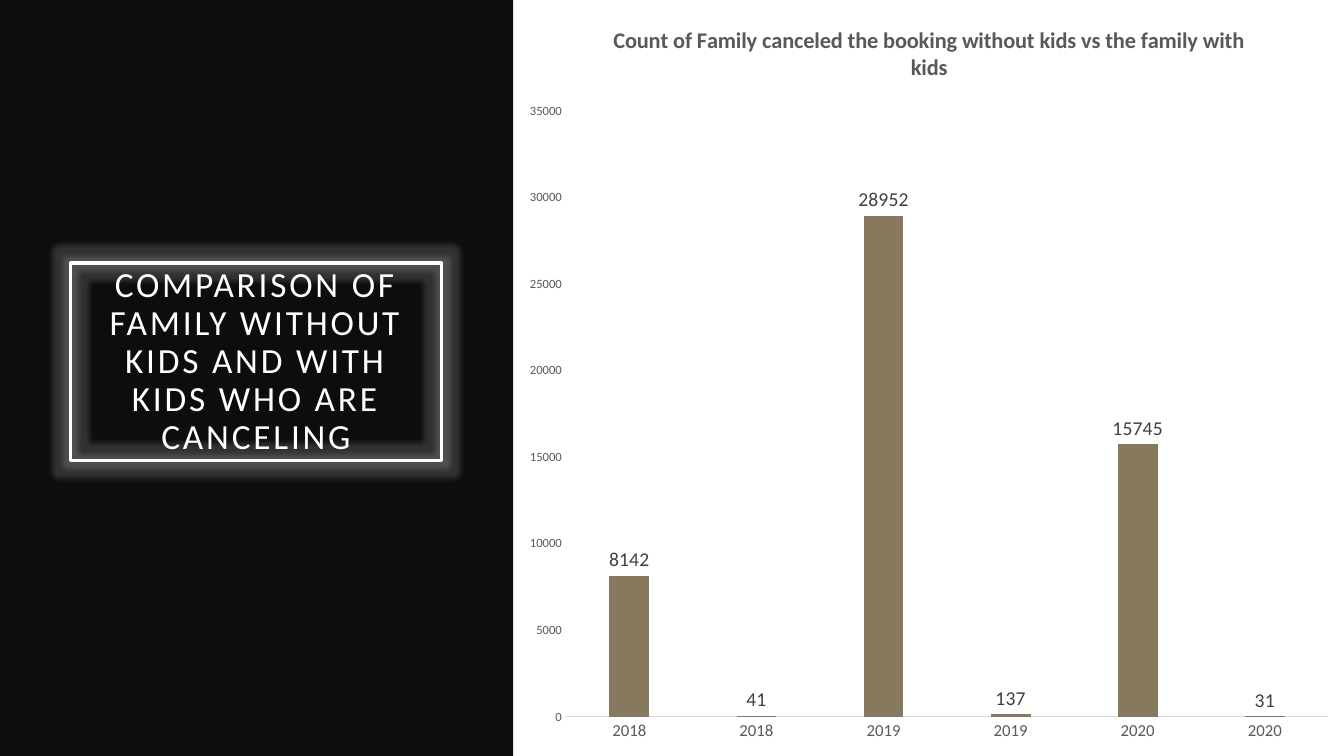
from lxml import etree
from pptx import Presentation
from pptx.chart.data import CategoryChartData
from pptx.dml.color import RGBColor
from pptx.enum.chart import XL_CHART_TYPE as ChartType, XL_LABEL_POSITION as LabelPos
from pptx.enum.chart import XL_TICK_MARK as TickMark
from pptx.enum.shapes import MSO_SHAPE as Shape
from pptx.enum.text import MSO_ANCHOR as Anchor, PP_ALIGN as Align
from pptx.oxml.ns import qn
from pptx.util import Inches, Pt

BLACK = RGBColor(0x0D, 0x0D, 0x0D)
WHITE = RGBColor(0xFF, 0xFF, 0xFF)
TAUPE = RGBColor(0x87, 0x79, 0x5D)
AXIS_GREY = RGBColor(0x59, 0x59, 0x59)
LABEL_GREY = RGBColor(0x40, 0x40, 0x40)
LINE_GREY = RGBColor(0xD9, 0xD9, 0xD9)
FONT = "Calibri"

HEADING = "COMPARISON OF FAMILY WITHOUT KIDS AND WITH KIDS WHO ARE CANCELING"
CHART_TITLE = "Count of Family canceled the booking without kids vs the family with kids"
YEARS = ["2018", "2018", "2019", "2019", "2020", "2020"]
CANCELLATIONS = [8142, 41, 28952, 137, 15745, 31]


def style_font(font, size, color, bold=False):
    font.name = FONT
    font.size = Pt(size)
    font.bold = bold
    font.color.rgb = color


def add_rectangle(slide, left, top, width, height):
    rectangle = slide.shapes.add_shape(
        Shape.RECTANGLE, Inches(left), Inches(top), Inches(width), Inches(height))
    rectangle.shadow.inherit = False
    return rectangle


def add_side_panel(slide):
    panel = add_rectangle(slide, 0, 0, 5.09, 7.5)
    panel.fill.solid()
    panel.fill.fore_color.rgb = BLACK
    panel.line.fill.background()


def add_glow(shape, radius, color, opacity):
    effects = shape._element.spPr.find(qn("a:effectLst"))
    glow = etree.SubElement(effects, qn("a:glow"), rad=str(Pt(radius)))
    tint = etree.SubElement(glow, qn("a:srgbClr"), val=str(color))
    etree.SubElement(tint, qn("a:alpha"), val=str(opacity * 1000))


def add_framed_heading(slide):
    frame = add_rectangle(slide, 0.7, 2.61, 3.68, 1.96)
    frame.fill.background()
    frame.line.color.rgb = WHITE
    frame.line.width = Pt(2.5)
    add_glow(frame, 8, WHITE, 15)

    text = frame.text_frame
    text.word_wrap = True
    text.vertical_anchor = Anchor.MIDDLE
    text.margin_left = text.margin_right = Inches(0.2)
    text.margin_top = text.margin_bottom = Inches(0.2)
    text.text = HEADING
    paragraph = text.paragraphs[0]
    paragraph.alignment = Align.CENTER
    paragraph.line_spacing = 0.9
    heading_font = paragraph.runs[0].font
    style_font(heading_font, 25.2, WHITE)
    paragraph.runs[0]._r.get_or_add_rPr().set("spc", "200")


def style_axis(axis, size):
    axis.has_major_gridlines = False
    axis.major_tick_mark = axis.minor_tick_mark = TickMark.NONE
    style_font(axis.tick_labels.font, size, AXIS_GREY)


def add_cancellation_chart(slide):
    data = CategoryChartData()
    data.categories = YEARS
    data.add_series("Series 1", CANCELLATIONS)
    chart = slide.shapes.add_chart(
        ChartType.COLUMN_CLUSTERED, Inches(5.09), Inches(0), Inches(8.25), Inches(7.5),
        data).chart
    chart.has_legend = False
    chart.font.name = FONT
    chart.font.size = Pt(10)

    chart.has_title = True
    title = chart.chart_title
    title.include_in_layout = False
    title.text_frame.text = CHART_TITLE
    style_font(title.text_frame.paragraphs[0].runs[0].font, 16, AXIS_GREY, bold=True)

    style_axis(chart.category_axis, 12)
    chart.category_axis.format.line.color.rgb = LINE_GREY
    chart.category_axis.format.line.width = Pt(0.75)
    style_axis(chart.value_axis, 9)
    chart.value_axis.format.line.fill.background()
    chart.value_axis.minimum_scale = 0
    chart.value_axis.maximum_scale = 35000
    chart.value_axis.major_unit = 5000

    plot = chart.plots[0]
    plot.gap_width = 219
    plot.overlap = -27
    plot.vary_by_categories = False
    bars = plot.series[0]
    bars.format.fill.solid()
    bars.format.fill.fore_color.rgb = TAUPE
    labels = bars.data_labels
    labels.show_value = True
    labels.position = LabelPos.OUTSIDE_END
    style_font(labels.font, 14, LABEL_GREY)


def main():
    deck = Presentation()
    deck.slide_width = Inches(13.33)
    deck.slide_height = Inches(7.5)
    slide = deck.slides.add_slide(deck.slide_layouts[6])
    slide.background.fill.solid()
    slide.background.fill.fore_color.rgb = WHITE
    add_side_panel(slide)
    add_framed_heading(slide)
    add_cancellation_chart(slide)
    deck.save("out.pptx")


if __name__ == "__main__":
    main()
